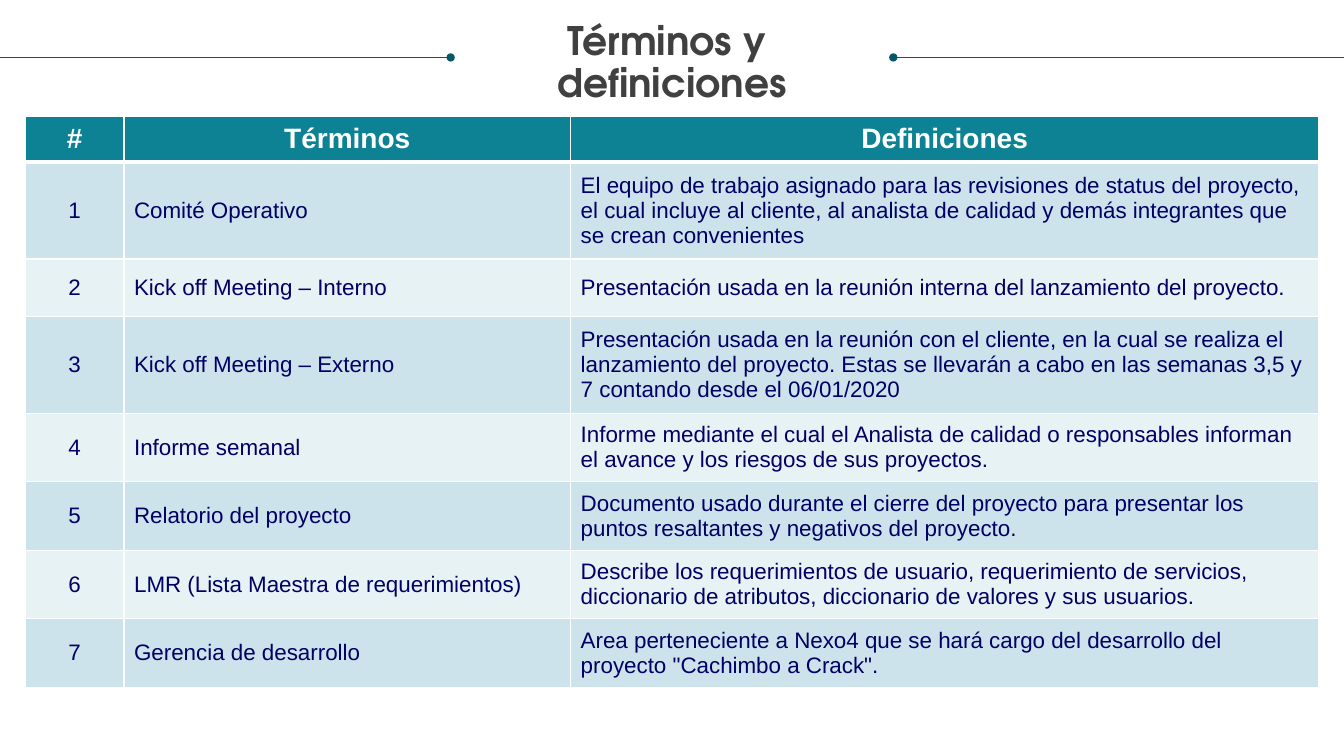
from dataclasses import dataclass

from lxml.etree import SubElement
from pptx import Presentation
from pptx.dml.color import RGBColor
from pptx.enum.shapes import MSO_CONNECTOR
from pptx.enum.text import MSO_ANCHOR, PP_ALIGN
from pptx.oxml.ns import qn
from pptx.util import Inches, Pt


@dataclass(frozen=True)
class Theme:
    title_font: str = "TeX Gyre Adventor"
    body_font: str = "Arial"
    title_size: int = 28
    header_size: int = 20
    body_size: int = 16
    title_color: str = "404040"
    rule_color: str = "085764"
    header_fill: str = "0D8295"
    bands: tuple = ("CCE3EB", "E7F2F5")
    body_color: str = "000066"
    white: str = "FFFFFF"


class SlideBuilder:
    def __init__(self, slide, theme):
        self.slide = slide
        self.theme = theme

    def add_text(self, para, text, color, font_format, para_format):
        for name, value in para_format.items():
            setattr(para, name, value)
        span = para.add_run()
        span.text = text
        for name, value in font_format.items():
            setattr(span.font, name, value)
        span.font.color.rgb = RGBColor.from_string(color)

    def title(self, lines, left, top, width, height):
        box = self.slide.shapes.add_textbox(*map(Inches, (left, top, width, height)))
        frame = box.text_frame
        frame_format = {"word_wrap": True, "margin_left": 0, "margin_right": 0,
                        "margin_top": 0, "margin_bottom": 0}
        for name, value in frame_format.items():
            setattr(frame, name, value)
        font_format = {"name": self.theme.title_font, "size": Pt(self.theme.title_size), "bold": True}
        para_format = {"alignment": PP_ALIGN.CENTER, "line_spacing": 0.9}
        for index, line in enumerate(lines):
            para = frame.add_paragraph() if index else frame.paragraphs[0]
            self.add_text(para, line, self.theme.title_color, font_format, para_format)

    def rule(self, start, end, y, dot_end):
        line = self.slide.shapes.add_connector(
            MSO_CONNECTOR.STRAIGHT, *map(Inches, (start, y, end, y)))
        line.line.width = Pt(0.5)
        line.line.color.rgb = RGBColor.from_string(self.theme.rule_color)
        properties = line._element.spPr
        SubElement(properties.find(qn("a:ln")), qn(f"a:{dot_end}"), type="oval")
        SubElement(properties, qn("a:effectLst"))

    def borders(self, cell, widths):
        properties = cell._tc.get_or_add_tcPr()
        for side, width in widths.items():
            edge = SubElement(properties, qn(f"a:ln{side}"), w=str(Pt(width)))
            fill = SubElement(edge, qn("a:solidFill"))
            SubElement(fill, qn("a:srgbClr"), val=self.theme.white)

    def cell(self, cell, text, row, column):
        theme, header = self.theme, row == 0
        self.borders(cell, {"L": 1, "R": 1, "T": 3 if row == 1 else 1, "B": 3 if header else 1})
        cell.fill.solid()
        fill = theme.header_fill if header else theme.bands[(row - 1) % 2]
        cell.fill.fore_color.rgb = RGBColor.from_string(fill)
        cell.vertical_anchor = MSO_ANCHOR.MIDDLE
        size = theme.header_size if header else theme.body_size
        centered = header or column == 0
        self.add_text(
            cell.text_frame.paragraphs[0], text,
            theme.white if header else theme.body_color,
            {"name": theme.body_font, "size": Pt(size), "bold": header},
            {"alignment": PP_ALIGN.CENTER if centered else PP_ALIGN.LEFT,
             "space_before": Pt(size * 0.2)})

    def table(self, rows, left, top, widths, heights):
        frame = self.slide.shapes.add_table(
            len(rows), len(widths),
            *map(Inches, (left, top, sum(widths), sum(heights))))
        table = frame.table
        for column, width in zip(table.columns, widths):
            column.width = Inches(width)
        for row, height in zip(table.rows, heights):
            row.height = Inches(height)
        for row, texts in enumerate(rows):
            for column, text in enumerate(texts):
                self.cell(table.cell(row, column), text, row, column)


GLOSSARY = [
    ("Comité Operativo",
     "El equipo de trabajo asignado para las revisiones de status del proyecto, el cual incluye "
     "al cliente, al analista de calidad y demás integrantes que se crean convenientes"),
    ("Kick off Meeting – Interno",
     "Presentación usada en la reunión interna del lanzamiento del proyecto."),
    ("Kick off Meeting – Externo",
     "Presentación usada en la reunión con el cliente, en la cual se realiza el lanzamiento del "
     "proyecto. Estas se llevarán a cabo en las semanas 3,5 y 7 contando desde el 06/01/2020"),
    ("Informe semanal",
     "Informe mediante el cual el Analista de calidad o responsables informan el avance y los "
     "riesgos de sus proyectos."),
    ("Relatorio del proyecto",
     "Documento usado durante el cierre del proyecto para presentar los puntos resaltantes y "
     "negativos del proyecto."),
    ("LMR (Lista Maestra de requerimientos)",
     "Describe los requerimientos de usuario, requerimiento de servicios, diccionario de "
     "atributos, diccionario de valores y sus usuarios."),
    ("Gerencia de desarrollo",
     "Area perteneciente a Nexo4 que se hará cargo del desarrollo del proyecto "
     "\"Cachimbo a Crack\"."),
]

SLIDE_WIDTH = 13.33
MARGIN = 0.25
RULE_LENGTH = 4.47
RULE_Y = 0.57

deck = Presentation()
deck.slide_width, deck.slide_height = Inches(SLIDE_WIDTH), Inches(7.5)
page = SlideBuilder(deck.slides.add_slide(deck.slide_layouts[6]), Theme())

# Title between two dotted rules
page.rule(SLIDE_WIDTH - RULE_LENGTH, SLIDE_WIDTH, RULE_Y, "headEnd")
page.title(["Términos y ", "definiciones"], MARGIN, 0.21, SLIDE_WIDTH - 2 * MARGIN, 0.85)
page.rule(0, RULE_LENGTH, RULE_Y, "tailEnd")

# Glossary table
header = ("#", "Términos", "Definiciones")
entries = [(str(number), *entry) for number, entry in enumerate(GLOSSARY, 1)]
page.table([header, *entries], MARGIN, 1.15, (0.98, 4.43, 7.42),
           (0.46, 0.96, 0.57, 0.96) + (0.68,) * 4)

deck.save("out.pptx")
